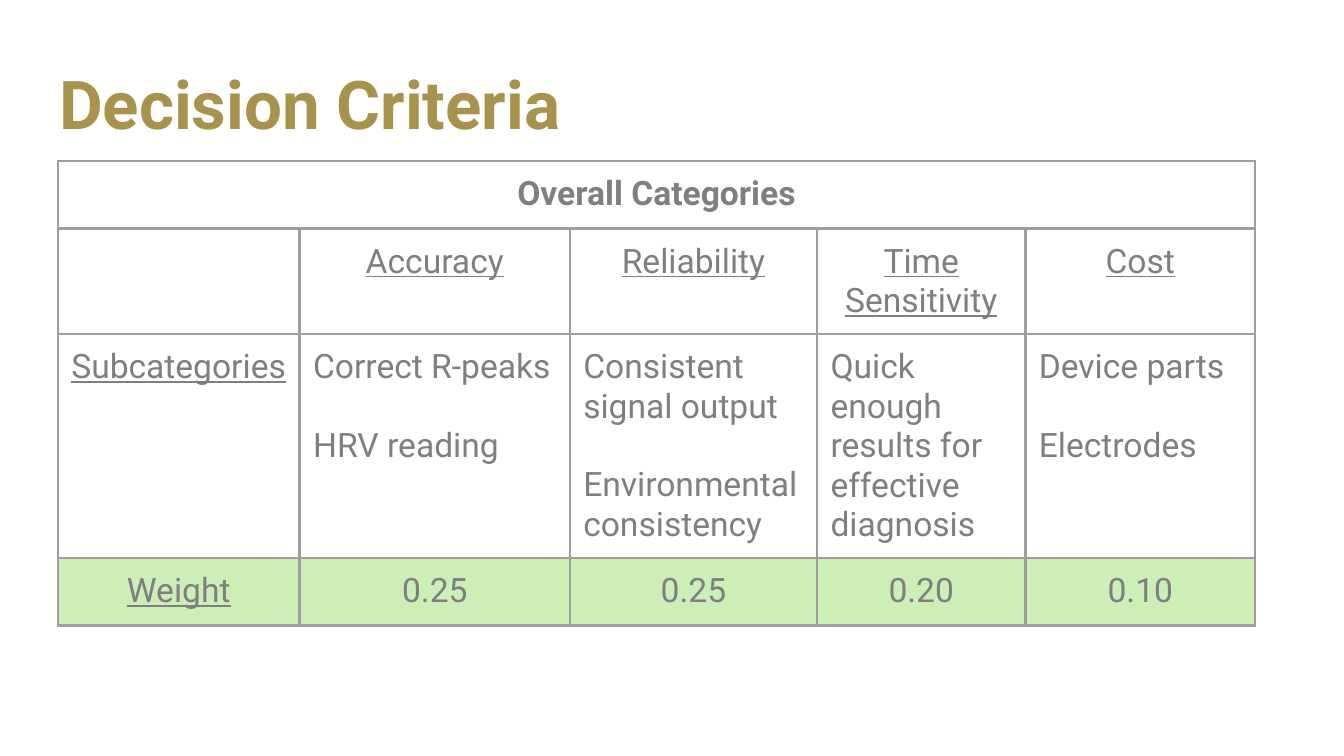
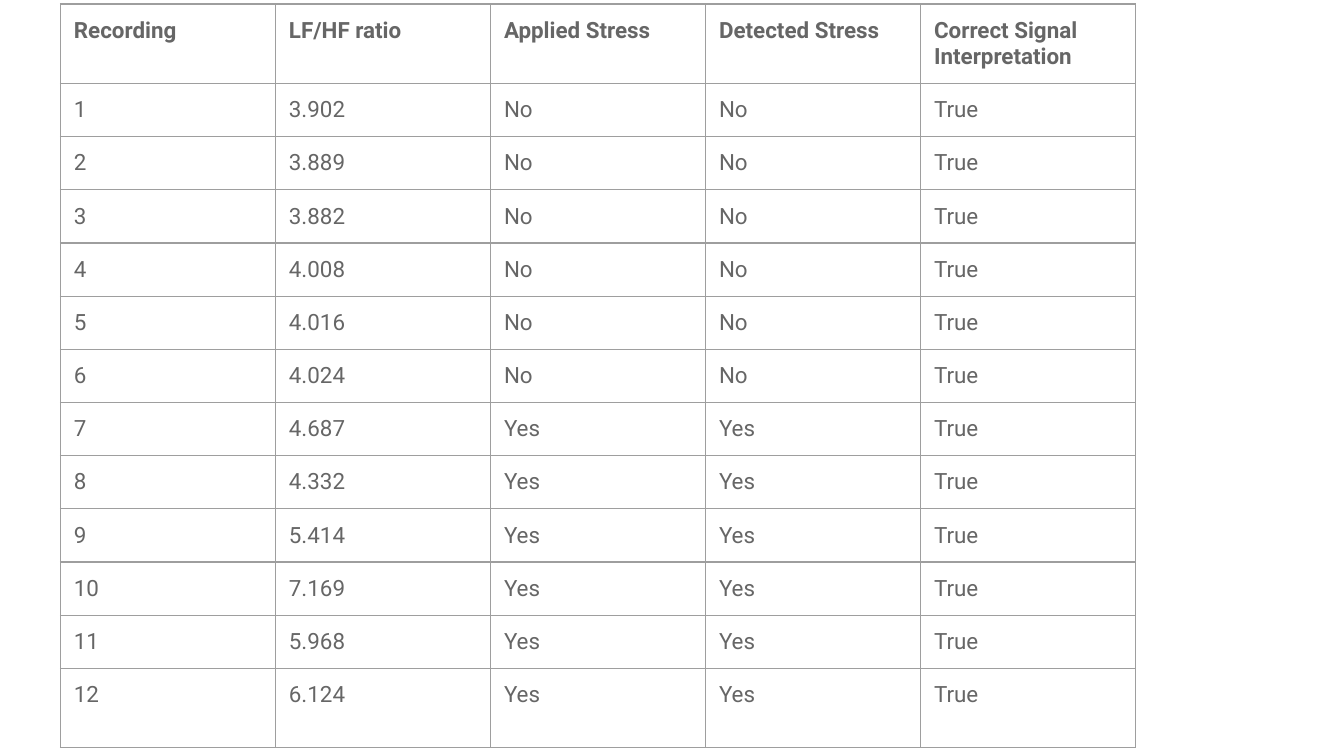
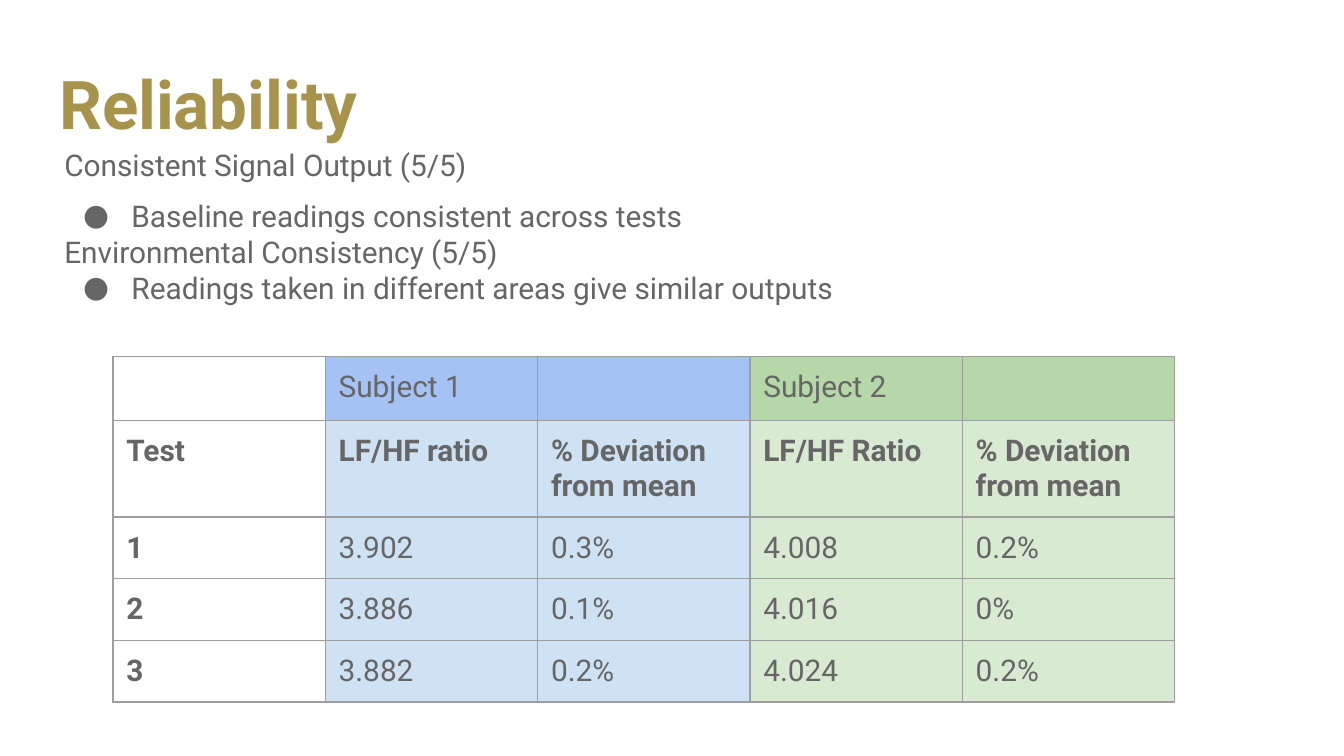
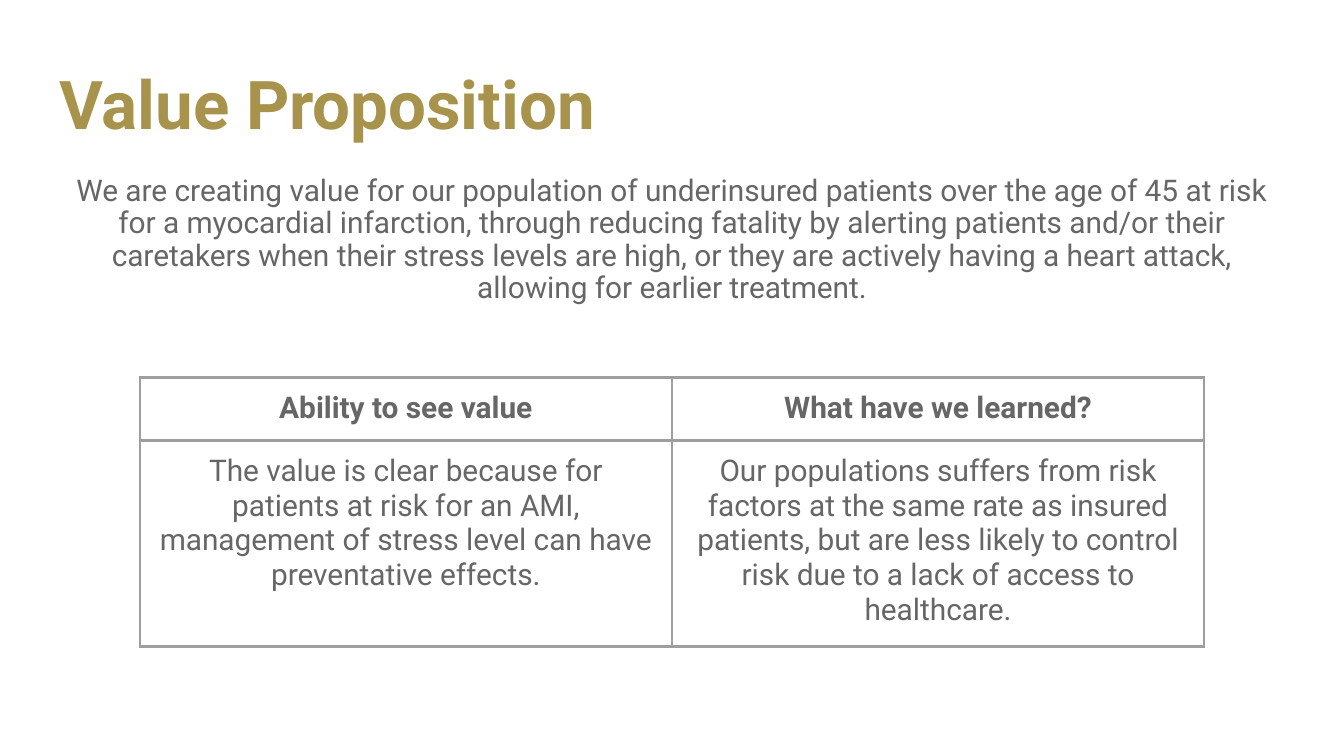
from lxml import etree
from pptx import Presentation
from pptx import util as u
from pptx.dml.color import RGBColor
from pptx.enum import text
from pptx.oxml.ns import qn

HUES = {
    "gold": "A7934B", "gray": "7F7F7F", "ink": "666666", "line": "9E9E9E",
    "mint": "CDEEB7", "blue": "A4C2F4", "sky": "CFE2F3",
    "green": "B6D7A8", "pale": "D9EAD3", "white": "FFFFFF",
}
FONT = "Roboto"
LEFT, MID = text.PP_ALIGN.LEFT, text.PP_ALIGN.CENTER


def write(frame, lines, size, hue, bold=False, under=False, align=LEFT, gap=0, pitch=None):
    frame.word_wrap = True
    for i, line in enumerate(lines):
        para = frame.paragraphs[0] if i == 0 else frame.add_paragraph()
        para.alignment = align
        para.line_spacing = pitch
        para.space_before = u.Pt(gap if i else 0)
        run = para.add_run()
        run.text = line
        run.font.name = FONT
        run.font.size = u.Pt(size)
        run.font.bold = bold
        run.font.underline = under
        run.font.color.rgb = RGBColor.from_string(HUES[hue])


def grid(slide, left, top, cols, rows, edge):
    frame = slide.shapes.add_table(
        len(rows), len(cols), u.Inches(left), u.Inches(top),
        u.Inches(sum(cols)), u.Inches(sum(rows)))
    table = frame.table
    table.first_row = table.horz_banding = False
    for col, wide in zip(table.columns, cols):
        col.width = u.Inches(wide)
    for row, tall in zip(table.rows, rows):
        row.height = u.Inches(tall)
    for cell in table.iter_cells():
        cell.margin_left = cell.margin_right = u.Inches(0.1)
        cell.margin_top = cell.margin_bottom = u.Inches(0.1)
        cell.fill.background()
        props = cell._tc.get_or_add_tcPr()
        for i, side in enumerate(("lnL", "lnR", "lnT", "lnB")):
            line = etree.Element(qn("a:" + side), w=str(u.Pt(edge)))
            fill = etree.SubElement(line, qn("a:solidFill"))
            etree.SubElement(fill, qn("a:srgbClr"), val=HUES["line"])
            props.insert(i, line)
    return table


deck = Presentation()
deck.slide_width = u.Inches(10)
deck.slide_height = deck.slide_width * 9 // 16

pages = []
for name in ("Decision Criteria", None, "Reliability", "Value Proposition"):
    page = deck.slides.add_slide(deck.slide_layouts[5 if name else 6])
    page.background.fill.solid()
    page.background.fill.fore_color.rgb = RGBColor.from_string(HUES["white"])
    pages.append(page)
    if name:
        title = page.shapes.title
        title.left, title.top = u.Inches(0.34), u.Inches(0.49)
        title.width, title.height = u.Inches(9.32), u.Inches(0.63)
        title.text_frame.auto_size = text.MSO_AUTO_SIZE.NONE
        title.text_frame.vertical_anchor = text.MSO_ANCHOR.MIDDLE
        write(title.text_frame, [name], 36, "gold", bold=True, pitch=0.9)
crit, tests, rely, value = pages

goals = [
    ("Accuracy", ["Correct R-peaks", "HRV reading"], "0.25"),
    ("Reliability", ["Consistent signal output", "Environmental consistency"], "0.25"),
    ("Time Sensitivity", ["Quick enough results for effective diagnosis"], "0.20"),
    ("Cost", ["Device parts", "Electrodes"], "0.10"),
]
table = grid(crit, 0.43, 1.2, [1.8, 2.01, 1.84, 1.55, 1.71], [0.5, 0.78, 1.64, 0.5], 1.5)
table.cell(0, 0).merge(table.cell(0, 4))
write(table.cell(0, 0).text_frame, ["Overall Categories"], 18, "gray", bold=True, align=MID)
for r, label in ((2, "Subcategories"), (3, "Weight")):
    write(table.cell(r, 0).text_frame, [label], 18, "gray", under=True, align=MID)
for c, (goal, parts, weight) in enumerate(goals, 1):
    write(table.cell(1, c).text_frame, [goal], 18, "gray", under=True, align=MID)
    write(table.cell(2, c).text_frame, parts, 18, "gray", gap=21)
    write(table.cell(3, c).text_frame, [weight], 18, "gray", align=MID)
for c in range(5):
    fill = table.cell(3, c).fill
    fill.solid()
    fill.fore_color.rgb = RGBColor.from_string(HUES["mint"])

heads = ["Recording", "LF/HF ratio", "Applied Stress", "Detected Stress",
         "Correct Signal Interpretation"]
ratios = ["3.902", "3.889", "3.882", "4.008", "4.016", "4.024",
          "4.687", "4.332", "5.414", "7.169", "5.968", "6.124"]
rows = [heads]
for n, ratio in enumerate(ratios, 1):
    stress = "Yes" if n > 6 else "No"
    rows.append([str(n), ratio, stress, stress, "True"])
table = grid(tests, 0.45, 0.03, [1.6] * 5, [0.59] + [0.39] * 11 + [0.59], 0.75)
for r, row in enumerate(rows):
    for c, word in enumerate(row):
        write(table.cell(r, c).text_frame, [word], 12, "ink", bold=r == 0)
        if r > 10 and c > 1:
            fill = table.cell(r, c).fill
            fill.solid()
            fill.fore_color.rgb = RGBColor.from_string(HUES["white"])

rows = [
    ["", "Subject 1", "", "Subject 2", ""],
    ["Test", "LF/HF ratio", "% Deviation from mean", "LF/HF Ratio", "% Deviation from mean"],
    ["1", "3.902", "0.3%", "4.008", "0.2%"],
    ["2", "3.886", "0.1%", "4.016", "0%"],
    ["3", "3.882", "0.2%", "4.024", "0.2%"],
]
table = grid(rely, 0.84, 2.65, [1.58] * 5, [0.48] + [0.42] * 4, 0.75)
for r, row in enumerate(rows):
    tints = ["blue", "green"] if r == 0 else ["sky", "pale"]
    for c, word in enumerate(row):
        cell = table.cell(r, c)
        if word:
            write(cell.text_frame, [word], 16, "ink", bold=r == 1 or (r > 1 and c == 0))
        else:
            etree.SubElement(cell.text_frame.paragraphs[0]._p, qn("a:endParaRPr"), sz="1600")
        if c:
            cell.fill.solid()
            cell.fill.fore_color.rgb = RGBColor.from_string(HUES[tints[(c - 1) // 2]])

box = rely.shapes.add_textbox(u.Inches(0.38), u.Inches(1.02), u.Inches(9.15), u.Inches(1.63))
frame = box.text_frame
frame.margin_left = frame.margin_right = u.Inches(0.1)
frame.margin_top = frame.margin_bottom = u.Inches(0.1)
write(frame, [
    "Consistent Signal Output (5/5)",
    "Baseline readings consistent across tests",
    "Environmental Consistency (5/5)",
    "Readings taken in different areas give similar outputs",
], 16, "ink")
for i, para in enumerate(frame.paragraphs):
    if i < 2:
        para.line_spacing = 0.9
        para.space_before = u.Pt(10)
    if i % 2:
        props = para._p.get_or_add_pPr()
        props.set("marL", str(u.Inches(0.5)))
        props.set("indent", str(u.Inches(-0.36)))
        tint = etree.SubElement(props, qn("a:buClr"))
        etree.SubElement(tint, qn("a:srgbClr"), val=HUES["ink"])
        etree.SubElement(props, qn("a:buFont"), typeface=FONT)
        etree.SubElement(props, qn("a:buChar"), char="●")

box = value.shapes.add_textbox(u.Inches(0.34), u.Inches(1.26), u.Inches(9.32), u.Inches(3.74))
write(box.text_frame, [
    "We are creating value for our population of underinsured patients over the age of 45 "
    "at risk for a myocardial infarction, through reducing fatality by alerting patients "
    "and/or their caretakers when their stress levels are high, or they are actively having "
    "a heart attack, allowing for earlier treatment."
], 16, "ink", align=MID, pitch=0.9)
box.text_frame.paragraphs[0].space_before = u.Pt(10)

views = [
    ("Ability to see value",
     "The value is clear because for patients at risk for an AMI, management of stress "
     "level can have preventative effects."),
    ("What have we learned?",
     "Our populations suffers from risk factors at the same rate as insured patients, but "
     "are less likely to control risk due to a lack of access to healthcare."),
]
table = grid(value, 1.04, 2.81, [3.96] * 2, [0.42] * 2, 1.5)
for c, view in enumerate(views):
    for r, words in enumerate(view):
        write(table.cell(r, c).text_frame, [words], 16, "ink", bold=r == 0, align=MID)

deck.save("out.pptx")
